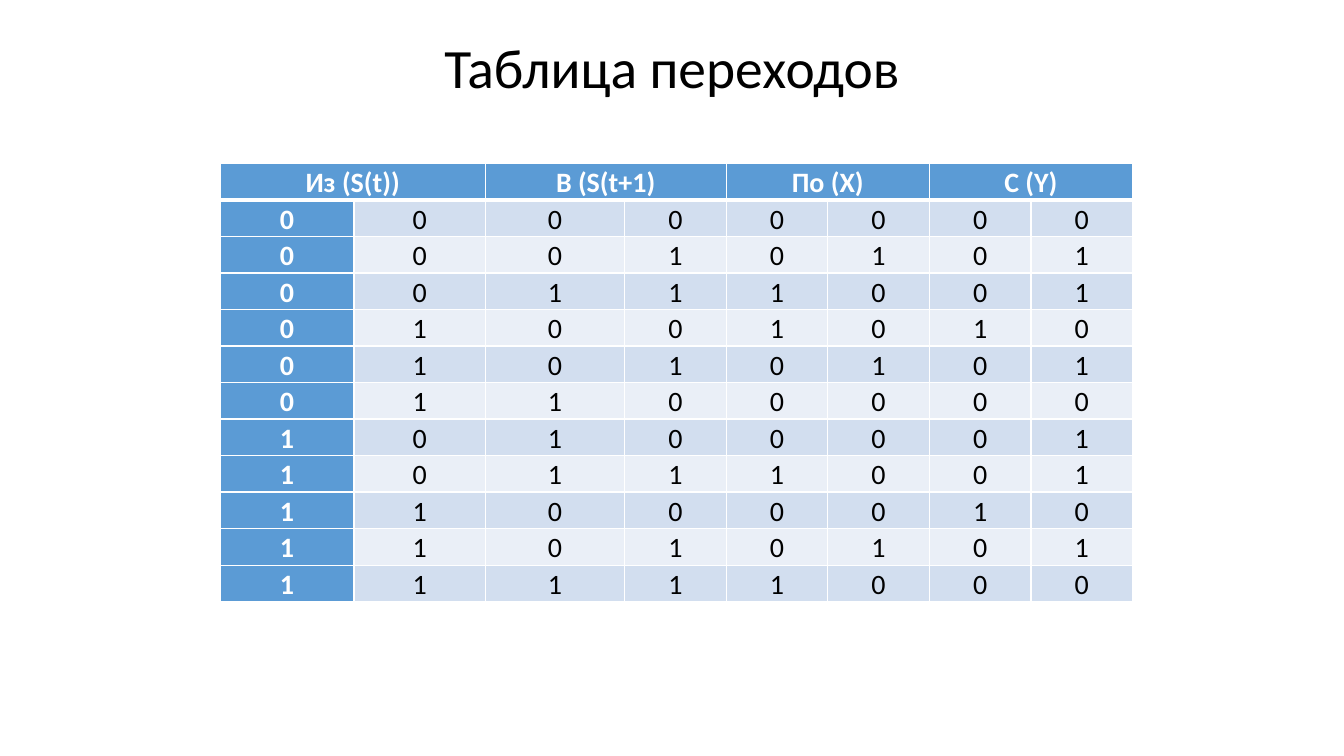
"""Build a slide with a state transition table."""
from lxml import etree
from pptx import Presentation
from pptx.dml.color import RGBColor
from pptx.enum.text import MSO_ANCHOR, PP_ALIGN
from pptx.oxml.ns import qn
from pptx.util import Cm, Pt

CENTER = PP_ALIGN.CENTER
MIDDLE = MSO_ANCHOR.MIDDLE
FONT = "Calibri"
COLORS = {
    "black": "000000",
    "white": "FFFFFF",
    "header": "5B9BD5",
    "odd_row": "D2DEEF",
    "even_row": "EAEFF7",
}
HEADINGS = ["Из (S(t))", "В (S(t+1)", "По (X)", "C (Y)"]
TRANSITIONS = [
    "00000000",
    "00010101",
    "00111001",
    "01001010",
    "01010101",
    "01100000",
    "10100001",
    "10111001",
    "11000010",
    "11010101",
    "11111000",
]
COLUMN_WIDTHS = [3.37, 3.31, 3.51] + [2.56] * 5
ROW_HEIGHT = 0.92


def write_text(text_frame, text, size, color, bold, spacing):
    """Write one centred paragraph."""
    paragraph = text_frame.paragraphs[0]
    paragraph.text = text
    paragraph.alignment = CENTER
    paragraph.line_spacing = spacing
    font = paragraph.runs[0].font
    font_format = {"name": FONT, "size": Pt(size), "bold": bold}
    for name, value in font_format.items():
        setattr(font, name, value)
    font.color.rgb = RGBColor.from_string(COLORS[color])


def style_cell(cell, fill, border_points):
    """Set the margins, borders and fill of a cell."""
    margins = {"left": 0.19, "right": 0.19, "top": 0, "bottom": 0}
    for side, margin in margins.items():
        setattr(cell, f"margin_{side}", Cm(margin))
    properties = cell._tc.get_or_add_tcPr()
    for side, points in border_points.items():
        line = etree.SubElement(properties, qn(f"a:ln{side}"), w=str(Pt(points)))
        line_fill = etree.SubElement(line, qn("a:solidFill"))
        etree.SubElement(line_fill, qn("a:srgbClr"), val=COLORS["white"])
    cell.fill.solid()
    cell.fill.fore_color.rgb = RGBColor.from_string(COLORS[fill])


presentation = Presentation()
presentation.slide_width = Cm(33.87)
presentation.slide_height = Cm(19.05)
slide = presentation.slides.add_slide(presentation.slide_layouts[6])

title = slide.shapes.add_textbox(Cm(2.33), Cm(1.02), Cm(29.21), Cm(1.52))
title.text_frame.word_wrap = True
title.text_frame.vertical_anchor = MIDDLE
write_text(title.text_frame, "Таблица переходов", 39.6, "black", False, 0.9)

row_count = len(TRANSITIONS) + 1
table = slide.shapes.add_table(
    row_count, len(COLUMN_WIDTHS), Cm(5.55), Cm(4.12),
    Cm(sum(COLUMN_WIDTHS)), Cm(ROW_HEIGHT * row_count),
).table
table.first_col = True
for column, width in zip(table.columns, COLUMN_WIDTHS):
    column.width = Cm(width)
for row in table.rows:
    row.height = Cm(ROW_HEIGHT)

for column_index in range(len(COLUMN_WIDTHS)):
    style_cell(table.cell(0, column_index), "header", {"L": 1, "R": 1, "T": 1, "B": 3})
for index, heading in enumerate(HEADINGS):
    cell = table.cell(0, 2 * index)
    cell.merge(table.cell(0, 2 * index + 1))
    write_text(cell.text_frame, heading, 20, "white", True, 1.07)

for row_index, digits in enumerate(TRANSITIONS, start=1):
    band = "odd_row" if row_index % 2 else "even_row"
    top = 3 if row_index == 1 else 1
    for column_index, digit in enumerate(digits):
        is_first = column_index == 0
        cell = table.cell(row_index, column_index)
        style_cell(cell, "header" if is_first else band, {"L": 1, "R": 1, "T": top, "B": 1})
        write_text(cell.text_frame, digit, 20, "white" if is_first else "black", is_first, 1.07)

presentation.save("out.pptx")
